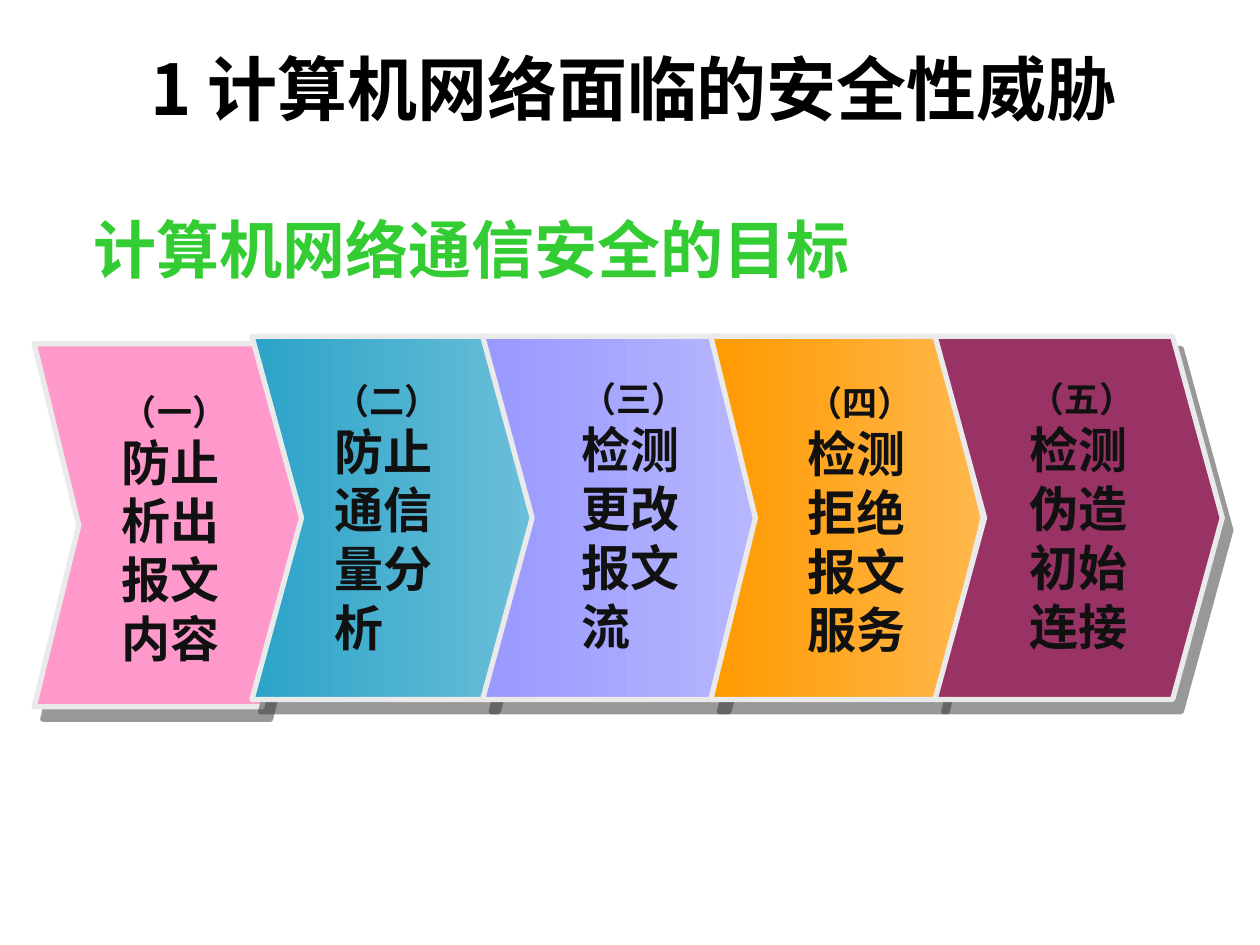
from dataclasses import dataclass

from lxml.etree import SubElement
from pptx import Presentation
from pptx.dml.color import RGBColor
from pptx.enum.shapes import MSO_SHAPE as Shape
from pptx.enum.text import MSO_ANCHOR as Anchor, MSO_AUTO_SIZE as AutoSize, PP_ALIGN as Align
from pptx.oxml.ns import qn
from pptx.util import Cm, Pt

BLACK = RGBColor(0x00, 0x00, 0x00)
INK = RGBColor(0x11, 0x11, 0x11)
GREEN = RGBColor(0x33, 0xCC, 0x33)
EDGE = RGBColor(0xEA, 0xEA, 0xEA)
PINK = RGBColor(0xFF, 0x99, 0xCC)
TEAL = RGBColor(0x2C, 0xA3, 0xC8)
LIGHT_TEAL = RGBColor(0x6C, 0xBF, 0xD9)
VIOLET = RGBColor(0x99, 0x99, 0xFF)
LIGHT_VIOLET = RGBColor(0xB8, 0xB8, 0xFF)
ORANGE = RGBColor(0xFF, 0x99, 0x00)
LIGHT_ORANGE = RGBColor(0xFF, 0xB8, 0x4D)
PLUM = RGBColor(0x99, 0x33, 0x66)
SHADOW = RGBColor(0x33, 0x33, 0x33)

CJK_FONT = "Noto Sans CJK SC"
NARROW, WIDE = (5.49, 0.9), (5.79, 1.0)
ARROW_HEIGHT = 7.32
LABEL_SIZE = (2.82, 5.84)


@dataclass
class Goal:
    """One security goal: its arrow box, label offset, wording and colours."""
    left: float
    top: float
    form: tuple
    offset: tuple
    number: str
    wording: str
    colours: tuple


GOALS = [
    Goal(0.69, 6.93, NARROW, (1.52, 0.81), "（一）", "防止析出报文内容", (PINK,)),
    Goal(5.08, 6.78, WIDE, (1.42, 0.74), "（二）", "防止通信量分析", (TEAL, LIGHT_TEAL)),
    Goal(9.73, 6.78, WIDE, (1.75, 0.71), "（三）", "检测更改报文流", (VIOLET, LIGHT_VIOLET)),
    Goal(14.33, 6.78, NARROW, (1.7, 0.79), "（四）", "检测拒绝报文服务", (ORANGE, LIGHT_ORANGE)),
    Goal(18.85, 6.78, WIDE, (1.65, 0.71), "（五）", "检测伪造初始连接", (PLUM,)),
]


def write_paragraph(para, text, size, colour, font="Arial", align=Align.LEFT):
    """Fill a paragraph with bold text at a fixed line pitch."""
    para.text = text
    para.alignment = align
    para.line_spacing = Pt(size * 1.2)
    para.font.name = font
    para.font.size = Pt(size)
    para.font.bold = True
    para.font.color.rgb = colour
    for span in para.runs:
        properties = span.font._element
        SubElement(properties, qn("a:ea"), typeface=CJK_FONT)


def add_hard_shadow(shape):
    """Give a shape a half-transparent offset shadow without blur."""
    shape.shadow.inherit = False
    effects = shape._element.spPr.find(qn("a:effectLst"))
    outer = SubElement(effects, qn("a:outerShdw"), blurRad="0", dist=str(Pt(8.6)),
                       dir=str(55 * 60000), algn="ctr", rotWithShape="0")
    colour = SubElement(outer, qn("a:srgbClr"), val=str(SHADOW))
    SubElement(colour, qn("a:alpha"), val="50000")


def paint(shape, colours):
    """Fill a shape with one colour or a left-to-right gradient of two."""
    if len(colours) == 1:
        shape.fill.solid()
        shape.fill.fore_color.rgb = colours[0]
        return
    shape.fill.gradient()
    shape.fill.gradient_angle = 0
    for stop, colour in zip(shape.fill.gradient_stops, colours):
        stop.color.rgb = colour


def add_goal(page, goal):
    """Place one grouped arrow with its numbered label."""
    group = page.shapes.add_group_shape()
    width, notch = goal.form
    arrow = group.shapes.add_shape(Shape.CHEVRON, Cm(goal.left), Cm(goal.top),
                                   Cm(width), Cm(ARROW_HEIGHT))
    arrow.adjustments[0] = notch / min(width, ARROW_HEIGHT)
    paint(arrow, goal.colours)
    arrow.line.color.rgb = EDGE
    arrow.line.width = Pt(3)
    add_hard_shadow(arrow)

    across, down = goal.offset
    label = group.shapes.add_textbox(Cm(goal.left + across), Cm(goal.top + down),
                                     *map(Cm, LABEL_SIZE))
    frame = label.text_frame
    frame.word_wrap = True
    write_paragraph(frame.paragraphs[0], goal.number, 20, INK)
    write_paragraph(frame.add_paragraph(), goal.wording, 28, INK)


def set_title(page, left, top, width, height):
    """Move and format the title placeholder."""
    title = page.shapes.title
    title.left, title.top, title.width, title.height = map(Cm, (left, top, width, height))
    frame = title.text_frame
    frame.auto_size = AutoSize.NONE
    frame.vertical_anchor = Anchor.MIDDLE
    write_paragraph(frame.paragraphs[0], " 1 计算机网络面临的安全性威胁", 40, BLACK,
                    CJK_FONT, Align.CENTER)


def add_subtitle(page, left, top, width, height):
    """Place the green heading above the arrows."""
    box = page.shapes.add_textbox(*map(Cm, (left, top, width, height)))
    box.text_frame.word_wrap = True
    write_paragraph(box.text_frame.paragraphs[0], "计算机网络通信安全的目标", 36, GREEN,
                    align=Align.CENTER)


def main():
    """Build and save the slide."""
    deck = Presentation()
    deck.slide_width, deck.slide_height = Cm(25.4), Cm(19.05)
    page = deck.slides.add_slide(deck.slide_layouts[5])
    set_title(page, 0.71, 0.91, 23.8, 1.7)
    add_subtitle(page, 1.5, 4.11, 16, 1.78)
    for goal in GOALS:
        add_goal(page, goal)
    deck.save("out.pptx")


if __name__ == "__main__":
    main()
